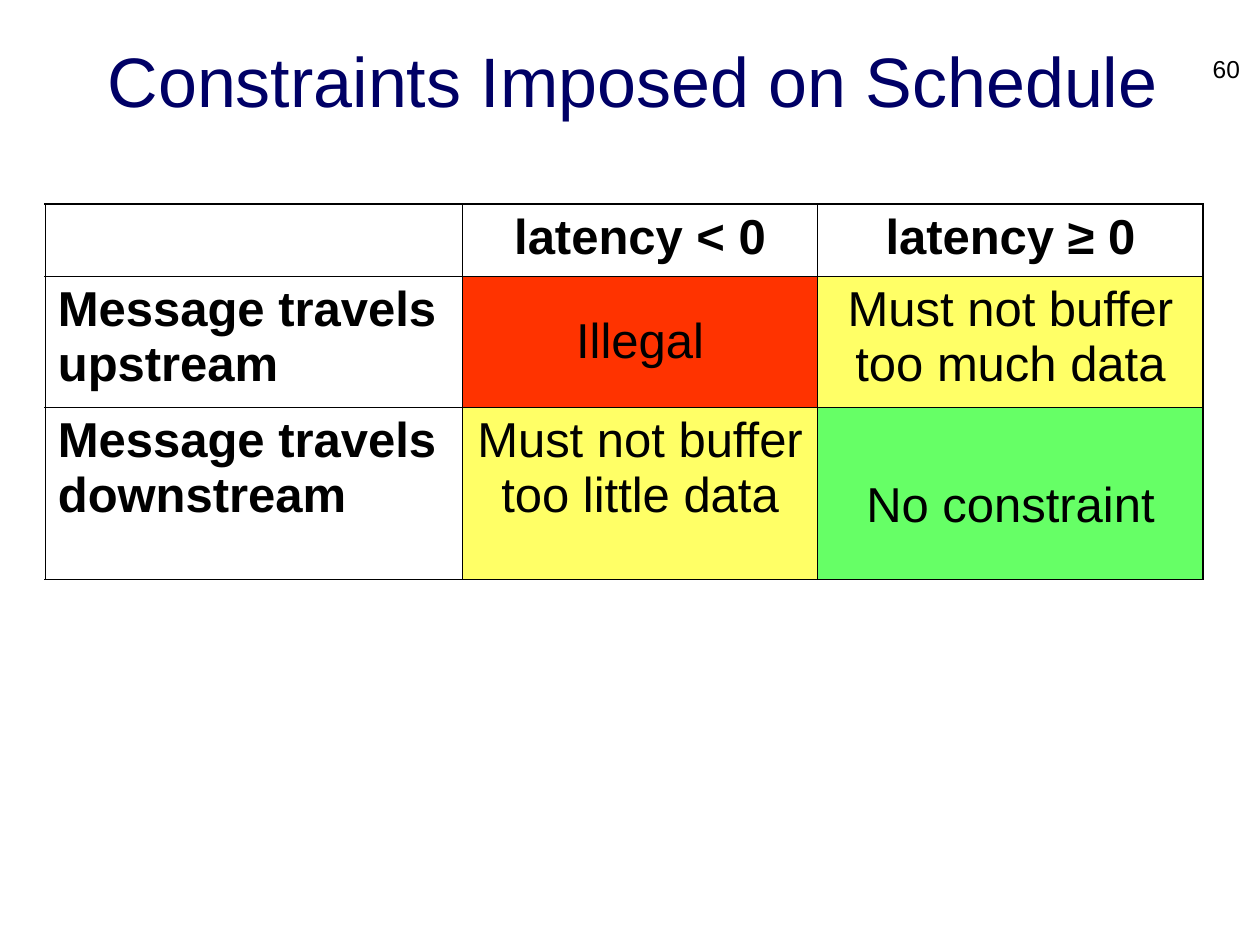
from lxml.etree import SubElement
from pptx import Presentation
from pptx.dml.color import RGBColor
from pptx.enum.text import MSO_ANCHOR as Anchor, PP_ALIGN as Align
from pptx.oxml.ns import qn
from pptx.util import Inches, Pt

BLACK = "000000"
RED, YELLOW, GREEN = "FF3300", "FFFF66", "66FF66"
OUTER, INNER = 1.08, 0.45
COLUMNS = [3.31, 2.82, 3.06]
ROWS = [0.57, 1.04, 1.37]
CELLS = [
    [("", None), ("latency < 0", None), ("latency ≥ 0", None)],
    [("Message travels upstream", None), ("Illegal", RED),
     ("Must not buffer too much data", YELLOW)],
    [("Message travels downstream", None),
     ("Must not buffer too little data", YELLOW), ("No constraint", GREEN)],
]


def color(value):
    return RGBColor.from_string(value)


class SlideBuilder:
    font_name = "Arial"

    def __init__(self, slide):
        self.slide = slide

    def add_text(self, frame, text, size, tint=BLACK, align=Align.LEFT, bold=False):
        paragraph = frame.paragraphs[0]
        paragraph.alignment = align
        run = paragraph.add_run()
        run.text = text
        run.font.name = self.font_name
        run.font.size = Pt(size)
        run.font.bold = bold
        run.font.color.rgb = color(tint)

    def text_box(self, box, text, size, tint, align, anchor=Anchor.TOP):
        shape = self.slide.shapes.add_textbox(*map(Inches, box))
        frame = shape.text_frame
        frame.word_wrap = True
        frame.vertical_anchor = anchor
        self.add_text(frame, text, size, tint, align)

    def borders(self, cell, widths):
        properties = cell._tc.get_or_add_tcPr()
        for side, width in widths.items():
            line = SubElement(properties, qn(f"a:ln{side}"), w=str(Pt(width)))
            fill = SubElement(line, qn("a:solidFill"))
            SubElement(fill, qn("a:srgbClr"), val=BLACK)

    def table(self, left, top, columns, rows, cells):
        size = (sum(columns), sum(rows))
        frame = self.slide.shapes.add_table(
            len(rows), len(columns), *map(Inches, (left, top, *size)))
        table = frame.table
        table.first_row = table.horz_banding = False
        for column, width in zip(table.columns, columns):
            column.width = Inches(width)
        for row, height in zip(table.rows, rows):
            row.height = Inches(height)
        for r, line in enumerate(cells):
            for c, (text, fill) in enumerate(line):
                cell = table.cell(r, c)
                self.borders(cell, {
                    "L": OUTER if c == 0 else INNER,
                    "R": OUTER if c == len(columns) - 1 else INNER,
                    "T": OUTER if r == 0 else INNER,
                    "B": OUTER if r == len(rows) - 1 else INNER,
                })
                if fill:
                    cell.fill.solid()
                    cell.fill.fore_color.rgb = color(fill)
                else:
                    cell.fill.background()
                if text:
                    align = Align.LEFT if c == 0 else Align.CENTER
                    self.add_text(cell.text_frame, text, 28, align=align,
                                  bold=r == 0 or c == 0)
        return table


def main():
    presentation = Presentation()
    presentation.slide_width = Inches(10)
    presentation.slide_height = Inches(7.5)
    slide = presentation.slides.add_slide(presentation.slide_layouts[6])
    builder = SlideBuilder(slide)
    builder.text_box((0.29, 0.19, 9.46, 0.88), "Constraints Imposed on Schedule",
                     40, "000066", Align.CENTER, Anchor.MIDDLE)
    table = builder.table(0.36, 1.62, COLUMNS, ROWS, CELLS)
    table.cell(1, 1).vertical_anchor = Anchor.MIDDLE
    table.cell(2, 2).margin_top = Inches(0.57)
    builder.text_box((9.46, 0.38, 0.48, 0.3), "60", 14, BLACK, Align.RIGHT)
    presentation.save("out.pptx")


if __name__ == "__main__":
    main()
